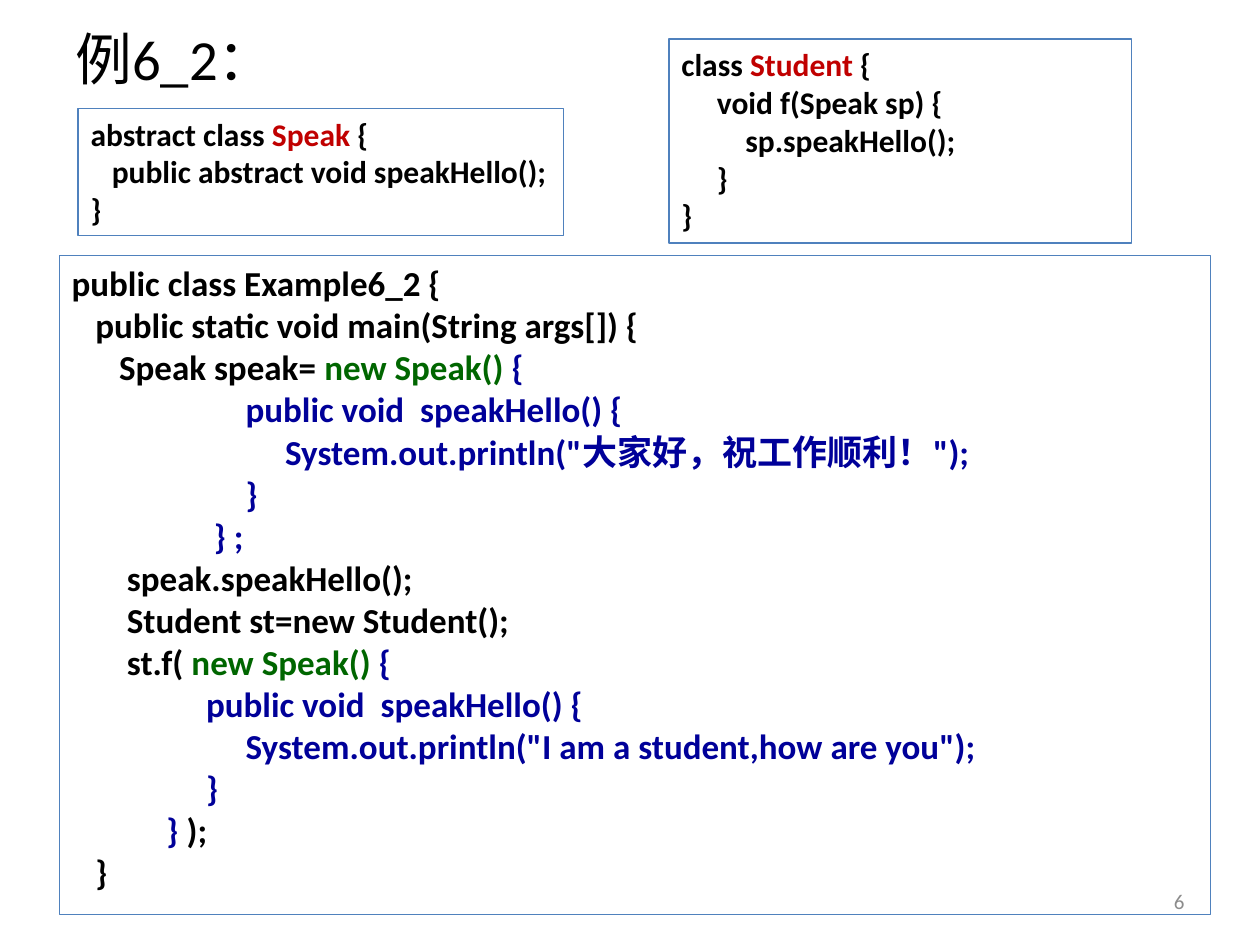
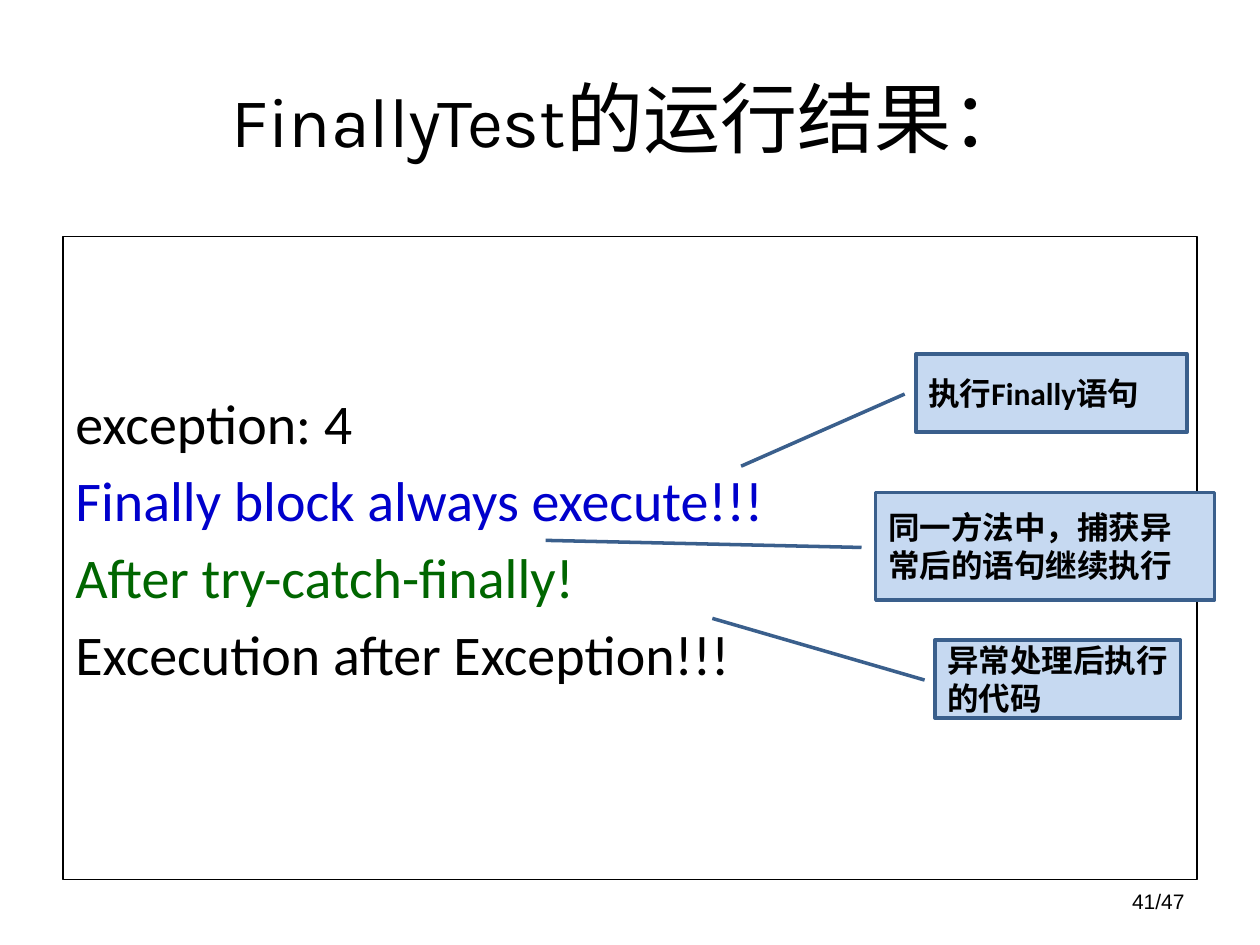
from dataclasses import dataclass
from pptx import Presentation
from pptx import util as u
from pptx.dml.color import RGBColor
from pptx.enum import shapes, text

COLUMNS, ROWS = 100, 75


@dataclass(frozen=True)
class Theme:
    black: str = "000000"
    grey: str = "8C8C8C"
    red: str = "C00000"
    green: str = "006600"
    navy: str = "000099"
    blue: str = "0000CC"
    frame: str = "4F81BD"
    callout_fill: str = "C6D9F1"
    callout_line: str = "3A5F8C"
    body_font: str = "Calibri"
    title_font: str = "Karla"
    number_font: str = "Arial"
    small_title: float = 32.4
    latin_title: float = 40
    title: float = 44
    output: float = 32
    code: float = 20
    label: float = 18
    number: float = 12
    thin: float = 0.75
    thick: float = 2


class SlideBuilder:
    def __init__(self, theme):
        self.theme = theme
        self.deck = Presentation()
        self.deck.slide_width = u.Inches(10)
        self.deck.slide_height = u.Inches(7.5)
        self.page = None

    def new_page(self):
        self.page = self.deck.slides.add_slide(self.deck.slide_layouts[6])

    def place(self, column, row, columns, rows):
        across = self.deck.slide_width / COLUMNS
        down = self.deck.slide_height / ROWS
        return [u.Emu(round(length)) for length in
                (column * across, row * down, columns * across, rows * down)]

    def set_text(self, box, lines, size, font=None, bold=False, align=text.PP_ALIGN.LEFT,
                 anchor=text.MSO_ANCHOR.MIDDLE, gap=0):
        frame = box.text_frame
        frame.word_wrap = True
        frame.vertical_anchor = anchor
        for index, line in enumerate(lines):
            para = frame.paragraphs[0] if index == 0 else frame.add_paragraph()
            para.alignment = align
            para.space_before = u.Pt(gap if index else 0)
            para.font.size = u.Pt(size)
            para.font.name = font or self.theme.body_font
            para.font.bold = bold
            for words, color in line:
                span = para.add_run()
                span.text = words
                span.font.color.rgb = RGBColor.from_string(color)
        return frame

    def text_box(self, area, lines, size, **style):
        box = self.page.shapes.add_textbox(*self.place(*area))
        return self.set_text(box, lines, size, **style)

    def title(self, area, words, size, **style):
        return self.text_box(area, [[(part, self.theme.black) for part in words]], size, **style)

    def page_number(self, words, color, font):
        self.text_box((71.7, 69.5, 23.3, 4), [[(words, color)]], self.theme.number,
                      font=font, align=text.PP_ALIGN.RIGHT)

    def shape(self, kind, area, line, width, fill=None):
        box = self.page.shapes.add_shape(kind, *self.place(*area))
        box.shadow.inherit = False
        box.line.color.rgb = RGBColor.from_string(line)
        box.line.width = u.Pt(width)
        if fill:
            box.fill.solid()
            box.fill.fore_color.rgb = RGBColor.from_string(fill)
        else:
            box.fill.background()
        return box

    def panel(self, area, lines, size, line=None, **style):
        box = self.shape(shapes.MSO_SHAPE.RECTANGLE, area, line or self.theme.frame,
                         self.theme.thin)
        return self.set_text(box, lines, size, anchor=text.MSO_ANCHOR.TOP, **style)

    def callout(self, area, words, tip):
        theme = self.theme
        box = self.shape(shapes.MSO_SHAPE.LINE_CALLOUT_1, area, theme.callout_line,
                         theme.thick, theme.callout_fill)
        for index, value in enumerate((0.512, -0.042, *tip)):
            box.adjustments[index] = value
        self.set_text(box, [[(words, theme.black)]], theme.label, bold=True)


def anonymous_class_page(slide):
    theme = slide.theme
    black, red, green, navy = theme.black, theme.red, theme.green, theme.navy
    slide.new_page()
    slide.title((5, 1.3, 82.5, 6.5), ["例6_2："], theme.small_title)
    example = [
        [("public class Example6_2 {", black)],
        [("   public static void main(String args[]) {", black)],
        [("      Speak speak= ", black), ("new Speak() ", green), ("{", navy)],
        [("                      public void  speakHello() {", navy)],
        [('                           System.out.println("大家好，祝工作顺利！");', navy)],
        [("                      }", navy)],
        [("                  } ;", navy)],
        [("       speak.speakHello();", black)],
        [("       Student st=new Student();", black)],
        [("       st.f( ", black), ("new Speak() ", green), ("{", navy)],
        [("                 public void  speakHello() {", navy)],
        [('                      System.out.println("I am a student,how are you");', navy)],
        [("                 }", navy)],
        [("            } ", navy), (");", black)],
        [("   }", black)],
    ]
    slide.panel((4.7, 20.3, 91.4, 52.3), example, theme.code, bold=True)
    slide.page_number("6", theme.grey, theme.body_font)
    speak = [
        [("abstract class ", black), ("Speak", red), (" {", black)],
        [("   public abstract void speakHello();", black)],
        [("}", black)],
    ]
    frame = slide.panel((6.2, 8.6, 38.5, 10.1), speak, theme.label, bold=True)
    frame.word_wrap = False
    student = [
        [("class ", black), ("Student", red), (" {", black)],
        [("     void f(Speak sp) {", black)],
        [("         sp.speakHello();", black)],
        [("     }", black)],
        [("}", black)],
    ]
    slide.panel((53.1, 3.1, 36.7, 16.2), student, theme.label, bold=True)


def finally_result_page(slide):
    theme = slide.theme
    slide.new_page()
    heading = slide.title((5, 3, 90, 12.5), ["FinallyTest", "的运行结果："], theme.title,
                          align=text.PP_ALIGN.CENTER)
    latin = heading.paragraphs[0].runs[0].font
    latin.name = theme.title_font
    latin.size = u.Pt(theme.latin_title)
    output = [
        [("exception: 4", theme.black)],
        [("Finally block always execute!!!", theme.blue)],
        [("After try-catch-finally!", theme.green)],
        [("Excecution after Exception!!!", theme.black)],
    ]
    frame = slide.panel((5, 18.8, 90, 51), output, theme.output, line=theme.black, gap=5.7)
    frame.margin_top = slide.deck.slide_height * 12 // ROWS
    slide.page_number("41/47", theme.black, theme.number_font)
    slide.callout((72.7, 28.1, 21.5, 6.2), "执行Finally语句", (1.436, -0.646))
    slide.callout((74.2, 50.8, 19.5, 6.2), "异常处理后执行的代码", (-0.278, -0.906))
    slide.callout((69.5, 39.1, 26.9, 8.5), "同一方法中，捕获异常后的语句继续执行", (0.446, -0.974))


def main():
    slide = SlideBuilder(Theme())
    anonymous_class_page(slide)
    finally_result_page(slide)
    slide.deck.save("out.pptx")


if __name__ == "__main__":
    main()
